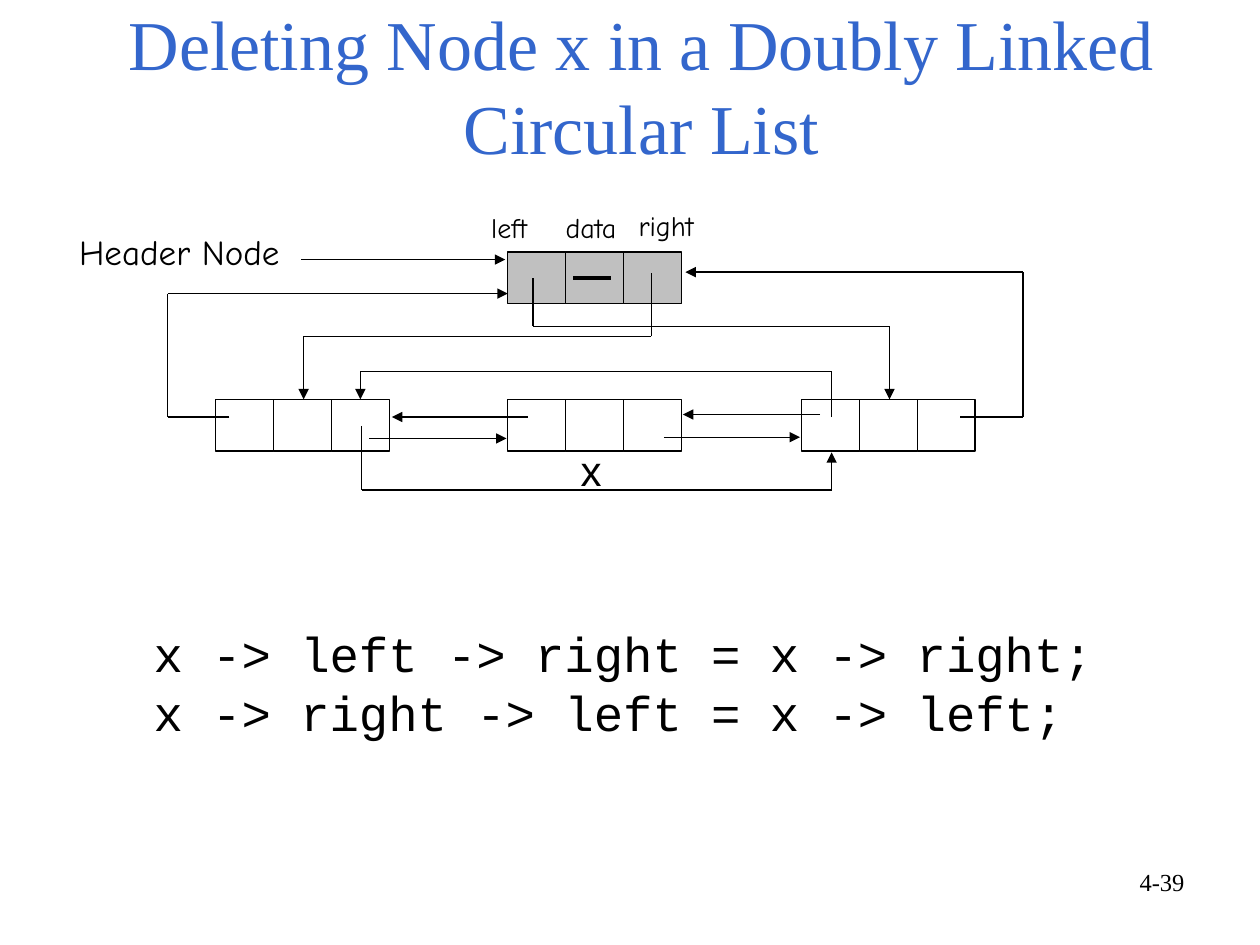
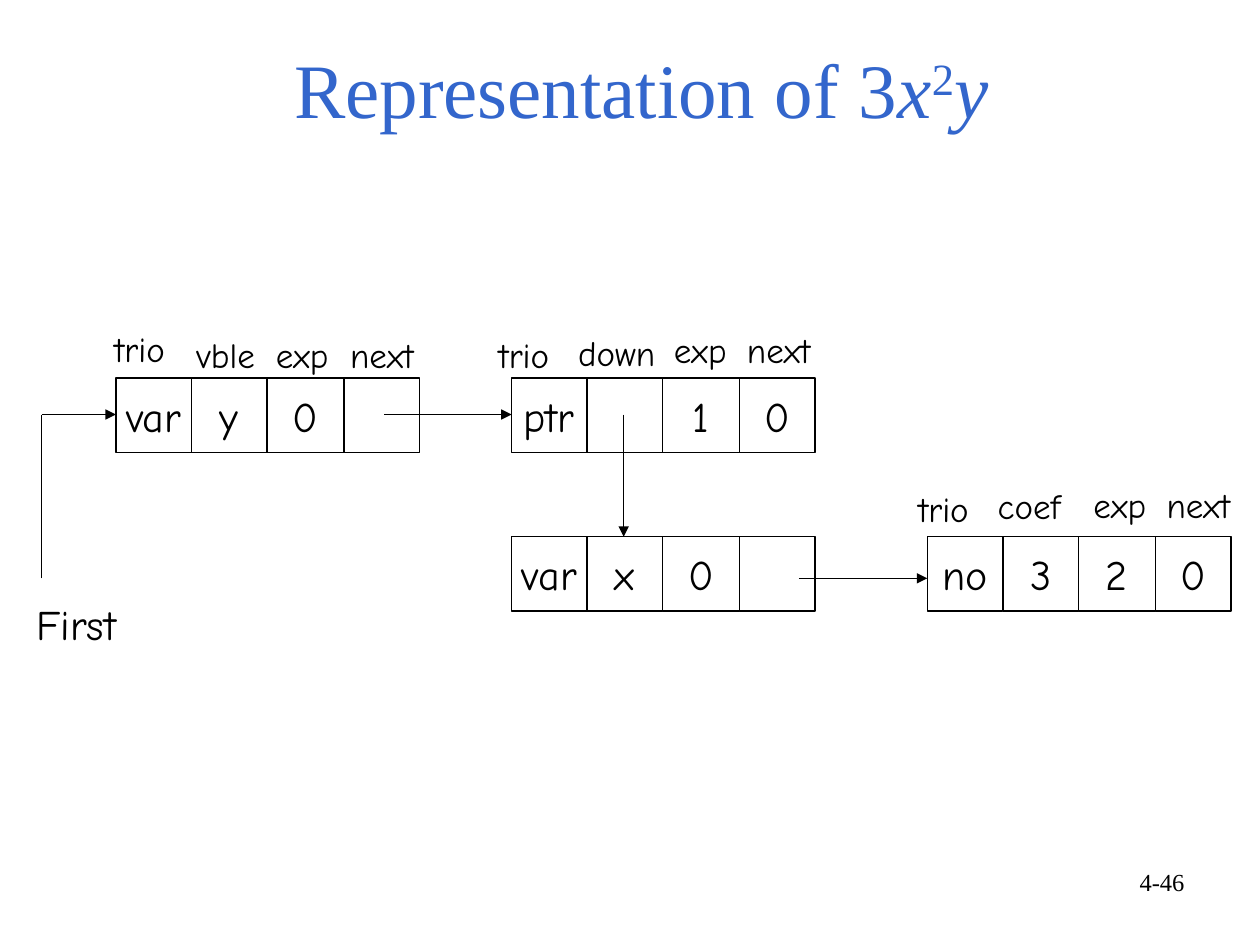
import pptx
import pptx.dml.color
import pptx.enum.shapes
import pptx.enum.text
import pptx.oxml.ns
import pptx.util
import lxml.etree
from dataclasses import dataclass
from itertools import pairwise

PX = 9144
ALIGN = pptx.enum.text.PP_ALIGN
ANCHOR = pptx.enum.text.MSO_ANCHOR


@dataclass(frozen=True)
class Theme:
    title: str = "3366CC"
    ink: str = "000000"
    white: str = "FFFFFF"
    grey: str = "C0C0C0"
    serif: str = "Times New Roman"
    hand: str = "Comic Neue"
    sans: str = "Arial"
    code: str = "Courier New"
    title_wide: int = 40
    title_size: int = 44
    code_size: int = 28
    large: int = 24
    medium: int = 20
    small: int = 16
    footer: int = 14
    hairline: float = 0.75
    thick: float = 2.25


T = Theme()
TITLE_H = 88
PAGE_BOX = (717, 683, 233, 52)


def emu(*lengths):
    return [pptx.util.Emu(n * PX) for n in lengths]


def rgb(value):
    return pptx.dml.color.RGBColor.from_string(value)


def apply(target, values):
    for name, value in values.items():
        setattr(target, name, value)


def write(sp, lines, size, font=T.hand, color=T.ink, align=ALIGN.LEFT,
          anchor=ANCHOR.TOP, wrap=True):
    tf = sp.text_frame
    margins = dict(zip(("margin_left", "margin_top", "margin_right", "margin_bottom"),
                       emu(10, 5, 10, 5)))
    apply(tf, {"word_wrap": wrap, "vertical_anchor": anchor, **margins})
    for i, runs in enumerate(lines):
        p = tf.add_paragraph() if i else tf.paragraphs[0]
        p.alignment = align
        for words, style in runs:
            r = p.add_run()
            r.text = words
            apply(r.font, {"name": font, "size": pptx.util.Pt(size),
                           "italic": style == "italic"})
            r.font.color.rgb = rgb(color)
            if style == "super":
                r.font._element.set("baseline", "30000")


def text(s, box, words, size, **style):
    lines = [[(line, None)] for line in words.split("\n")]
    write(s.shapes.add_textbox(*emu(*box)), lines, size, **style)


def path(s, x, y, points, arrow=True, weight=T.hairline):
    qn = pptx.oxml.ns.qn
    for (x1, y1), (x2, y2) in pairwise(points):
        c = s.shapes.add_connector(pptx.enum.shapes.MSO_CONNECTOR.STRAIGHT,
                                   *emu(x + x1, y + y1, x + x2, y + y2))
        c.line.color.rgb = rgb(T.ink)
        c.line.width = pptx.util.Pt(weight)
        lxml.etree.SubElement(c._element.spPr, qn("a:effectLst"))
    if arrow:
        ln = c.line._get_or_add_ln()
        lxml.etree.SubElement(ln, qn("a:tailEnd"), type="triangle")


def cells(s, box, values, fill=None):
    x, y, w, h = box
    edges = [round(i * w / len(values)) for i in range(len(values) + 1)]
    for value, (left, right) in zip(values, pairwise(edges)):
        sp = s.shapes.add_shape(pptx.enum.shapes.MSO_SHAPE.RECTANGLE,
                                *emu(x + left, y, right - left, h))
        sp.shadow.inherit = False
        if fill:
            sp.fill.solid()
            sp.fill.fore_color.rgb = rgb(fill)
        else:
            sp.fill.background()
        sp.line.color.rgb = rgb(T.ink)
        sp.line.width = pptx.util.Pt(T.hairline)
        if value:
            write(sp, [[(value, None)]], T.large, align=ALIGN.CENTER,
                  anchor=ANCHOR.MIDDLE, wrap=False)


def frame(prs, title_runs, title_size, title_top, page):
    s = prs.slides.add_slide(prs.slide_layouts[6])
    sp = s.shapes.add_textbox(*emu(75, title_top, 868, TITLE_H))
    write(sp, [title_runs], title_size, font=T.serif, color=T.title,
          align=ALIGN.CENTER, anchor=ANCHOR.BOTTOM)
    text(s, PAGE_BOX, page, T.footer, font=T.serif, align=ALIGN.RIGHT)
    return s


def circular_list(s, box):
    x, y, w, h = box
    node_w, node_h, row = 138, 41, 117
    back = row + 14
    cells(s, (x + 270, y, node_w, node_h), [""] * 3, T.grey)
    for dx in (38, 270, 503):
        cells(s, (x + dx, y + row, node_w, node_h), [""] * 3, T.white)

    for words, dx, dy, tw in (("left", 247, -38, 65), ("data", 306, -38, 71),
                              ("right", 364, -39, 74)):
        text(s, (x + dx, y + dy, tw, 37), words, T.small)
    text(s, (x - 80, y - 22, 209, 44), "Header Node", T.medium)
    text(s, (x + 318, y + 148, 47, 50), "x", T.large, font=T.sans)

    next_links = [[(160, 148), (269, 148)], [(394, 147), (502, 147)]]
    previous_links = [[(286, back), (178, back)], [(518, back - 2), (409, back - 2)]]
    header_links = [
        [(106, 6), (268, 6)],
        [(49, back), (0, back), (0, 33), (270, 33)],
        [(629, back), (w, back), (w, 16), (411, 16)],
        [(290, 21), (290, 59), (573, 59), (573, row)],
        [(384, 17), (384, 67), (108, 67), (108, row)],
    ]
    bypass_links = [
        [(154, 138), (154, h), (527, h), (527, row + node_h + 1)],
        [(527, back), (527, 95), (153, 95), (153, row)],
    ]
    for points in next_links + previous_links + header_links + bypass_links:
        path(s, x, y, points)
    path(s, x, y, [(322, 21), (352, 21)], arrow=False, weight=T.thick)


def record(s, box, values, labels=()):
    x, y, w, h = box
    cells(s, box, values)
    for words, dx, dy, tw in labels:
        text(s, (x + dx, y - dy, tw, 44), words, T.medium)


def polynomial(s, box):
    x, y, w, h = box
    lower = 126
    records = [
        (59, 0, ["var", "y", "0", ""],
         [("trio", -11, 45, 72), ("vble", 54, 40, 97),
          ("exp", 117, 40, 72), ("next", 176, 40, 88)]),
        (373, 0, ["ptr", "", "1", "0"],
         [("trio", -20, 40, 72), ("down", 43, 42, 95),
          ("exp", 119, 44, 72), ("next", 177, 44, 102)]),
        (373, lower, ["var", "x", "0", ""], []),
        (703, lower, ["no", "3", "2", "0"],
         [("trio", -17, 44, 72), ("coef", 46, 46, 95),
          ("exp", 122, 47, 72), ("next", 180, 47, 102)]),
    ]
    for dx, dy, values, labels in records:
        record(s, (x + dx, y + dy, 241, 59), values, labels)

    for points in ([(272, 29), (373, 29)],
                   [(601, 159), (703, 159)],
                   [(462, 29), (462, lower)],
                   [(0, 159), (0, 29), (59, 29)]):
        path(s, x, y, points)
    text(s, (x - 14, y + 170, 127, 50), "First", T.large)


def deletion_slide(prs):
    s = frame(prs, [("Deleting Node x in a Doubly Linked Circular List", None)],
              T.title_wide, 51, "4-39")
    circular_list(s, (133, 200, 679, 189))
    text(s, (112, 490, 785, 104),
         "x -> left -> right = x -> right;\nx -> right -> left = x -> left;",
         T.code_size, font=T.code)


def representation_slide(prs):
    s = frame(prs, [("Representation of 3", None), ("x", "italic"),
                    ("2", "super"), ("y", "italic")], T.title_size, 23, "4-46")
    polynomial(s, (33, 300, 944, 185))


def main():
    prs = pptx.Presentation()
    prs.slide_width, prs.slide_height = emu(1000, 750)
    deletion_slide(prs)
    representation_slide(prs)
    prs.save("out.pptx")


if __name__ == "__main__":
    main()
